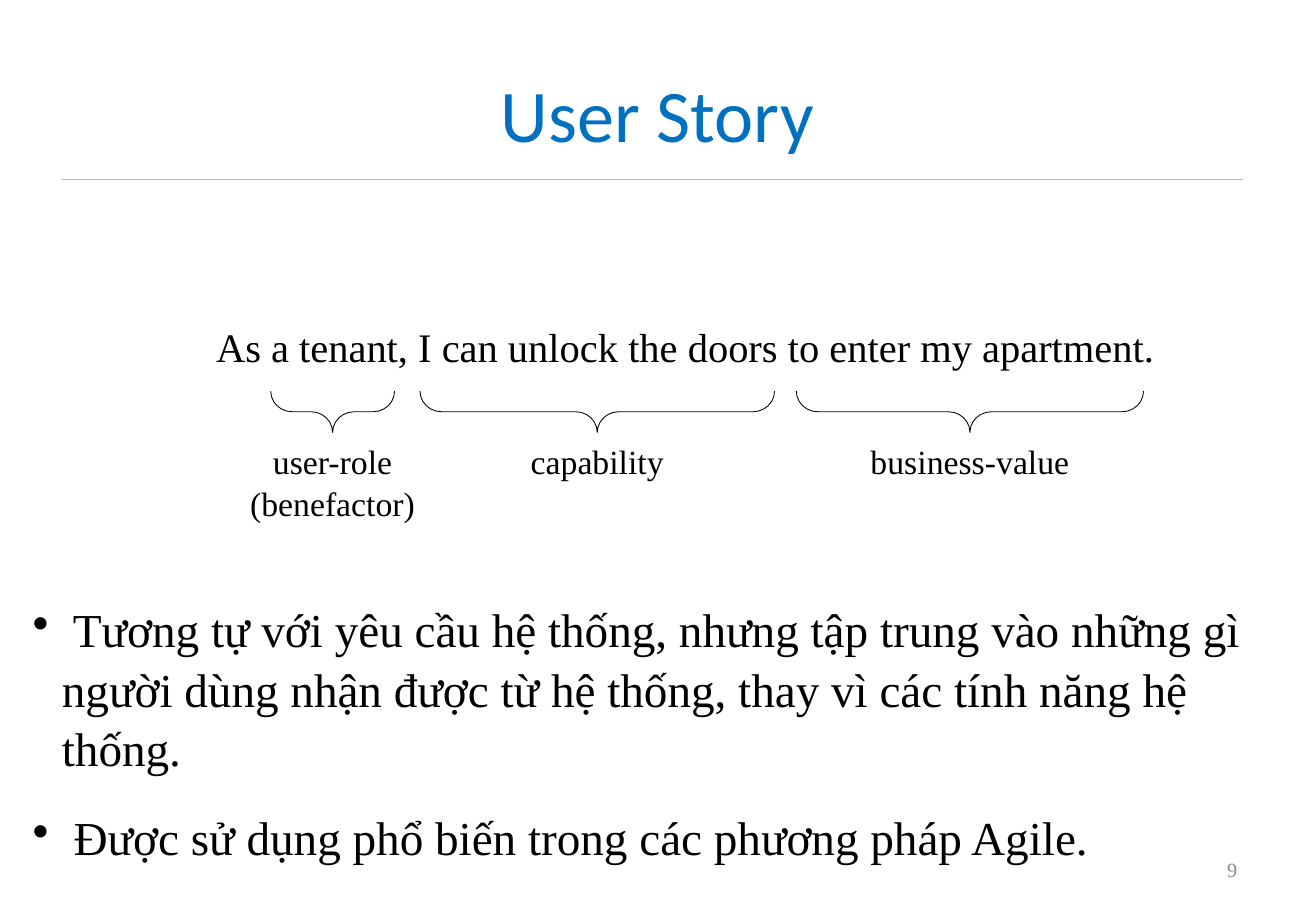
from lxml import etree
from pptx import Presentation
from pptx.dml.color import RGBColor
from pptx.enum.shapes import MSO_CONNECTOR, MSO_SHAPE
from pptx.enum.text import MSO_ANCHOR, PP_ALIGN
from pptx.oxml.ns import qn
from pptx.util import Inches, Pt

LEFT, CENTER, RIGHT = PP_ALIGN.LEFT, PP_ALIGN.CENTER, PP_ALIGN.RIGHT
TOP, MIDDLE = MSO_ANCHOR.TOP, MSO_ANCHOR.MIDDLE
STRAIGHT = MSO_CONNECTOR.STRAIGHT
LEFT_BRACE = MSO_SHAPE.LEFT_BRACE

SERIF = "Times New Roman"
BLACK = "000000"
BRACE_TOP = 3.22
BRACE_DEPTH = 0.34
LABEL_TOP = 3.61
STORY_PARTS = [
    (2.23, 3.25, ["user-role", "(benefactor)"]),
    (3.46, 6.38, ["capability"]),
    (6.56, 9.42, ["business-value"]),
]
POINTS = [
    " Tương tự với yêu cầu hệ thống, nhưng tập trung vào những gì người dùng "
    "nhận được từ hệ thống, thay vì các tính năng hệ thống.",
    " Được sử dụng phổ biến trong các phương pháp Agile.",
]


def color(value):
    return RGBColor.from_string(value)


def format_font(paragraph, name, size, value):
    paragraph.font.name = name
    paragraph.font.size = Pt(size)
    paragraph.font.color.rgb = color(value)


def add_title(slide, text):
    title = slide.shapes.title
    title.left, title.top = Inches(0.54), Inches(0.3)
    title.width, title.height = Inches(9.75), Inches(1.25)
    title.text_frame.text = text
    title.text_frame.vertical_anchor = MIDDLE
    paragraph = title.text_frame.paragraphs[0]
    paragraph.alignment = CENTER
    format_font(paragraph, "Calibri", 44, "0070C0")


def add_rule(slide):
    rule = slide.shapes.add_connector(
        STRAIGHT, Inches(0.51), Inches(1.48), Inches(10.24), Inches(1.48))
    rule.line.color.rgb = color("FEB604")
    rule.line.width = Pt(0.75)
    etree.SubElement(rule._element.spPr, qn("a:effectLst"))


def add_text(slide, box, lines, size, alignment=LEFT, value=BLACK,
             margins=(0, 0, 0, 0), wrap=False, anchor=TOP):
    shape = slide.shapes.add_textbox(*(Inches(length) for length in box))
    frame = shape.text_frame
    frame.word_wrap = wrap
    frame.vertical_anchor = anchor
    (frame.margin_left, frame.margin_top,
     frame.margin_right, frame.margin_bottom) = (Inches(m) for m in margins)
    frame.text = "\n".join(lines)
    for paragraph in frame.paragraphs:
        paragraph.alignment = alignment
        paragraph.line_spacing = 1.05
        format_font(paragraph, SERIF, size, value)
    return frame


def add_brace(slide, start, end):
    span = end - start
    brace = slide.shapes.add_shape(
        LEFT_BRACE,
        Inches((start + end - BRACE_DEPTH) / 2),
        Inches(BRACE_TOP + (BRACE_DEPTH - span) / 2),
        Inches(BRACE_DEPTH), Inches(span))
    brace.rotation = 270
    brace.adjustments[0] = 0.52
    brace.shadow.inherit = False
    brace.fill.background()
    brace.line.color.rgb = color(BLACK)
    brace.line.width = Pt(0.5)


def add_story_part(slide, start, end, lines):
    add_brace(slide, start, end)
    width = 1.64
    box = ((start + end - width) / 2, LABEL_TOP, width, 0.05 + 0.34 * len(lines))
    add_text(slide, box, lines, 20, CENTER, margins=(0, 0, 0, 0.05), wrap=True)


def add_bullets(slide, points):
    frame = add_text(slide, (0.27, 4.92, 10.06, 2.11), points, 28, wrap=True)
    for index, paragraph in enumerate(frame.paragraphs):
        if index:
            paragraph.space_before = Pt(17.5)
        properties = paragraph._p.get_or_add_pPr()
        properties.set("marL", str(Inches(0.24)))
        properties.set("indent", str(-Inches(0.24)))
        bullet = etree.Element(qn("a:buChar"), char="•")
        properties.find(qn("a:defRPr")).addprevious(bullet)


def main():
    presentation = Presentation()
    presentation.slide_width = Inches(10.84)
    presentation.slide_height = Inches(7.5)
    slide = presentation.slides.add_slide(presentation.slide_layouts[5])
    add_rule(slide)
    add_title(slide, "User Story")
    add_text(slide, (7.76, 6.95, 2.53, 0.4), ["9"], 12, RIGHT, "898989",
             (0.1, 0.05, 0.1, 0.05), True, MIDDLE)
    add_text(slide, (1.78, 2.58, 7.73, 0.5),
             ["As a tenant, I can unlock the doors to enter my apartment."],
             24, margins=(0, 0.05, 0, 0.05))
    for start, end, lines in STORY_PARTS:
        add_story_part(slide, start, end, lines)
    add_bullets(slide, POINTS)
    presentation.save("out.pptx")


if __name__ == "__main__":
    main()
